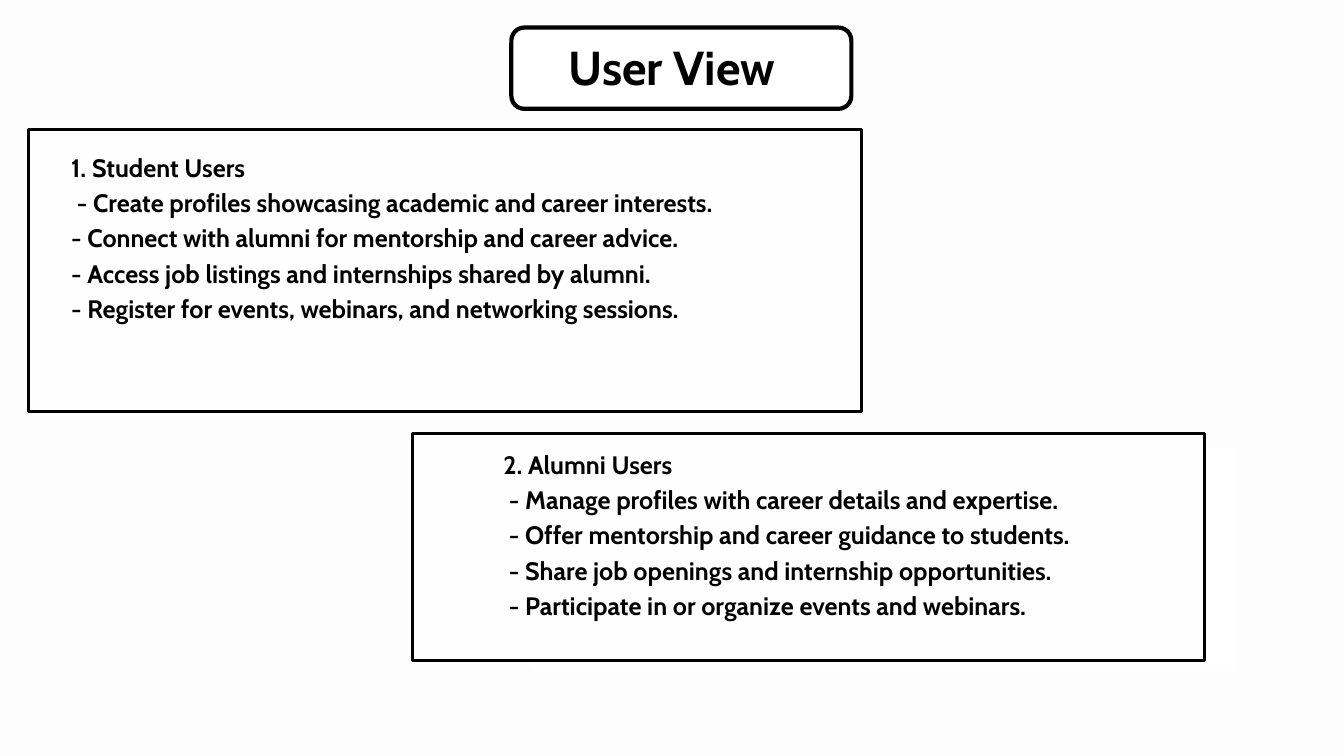
import pptx
import pptx.dml.color
import pptx.enum.shapes
import pptx.enum.text
import pptx.util

BLACK = pptx.dml.color.RGBColor(0x00, 0x00, 0x00)
WHITE = pptx.dml.color.RGBColor(0xFF, 0xFF, 0xFF)
PANEL_WHITE = pptx.dml.color.RGBColor(0xFE, 0xFE, 0xFF)
BACKGROUND = pptx.dml.color.RGBColor(0xFD, 0xFD, 0xFD)

FONT = "Cabin"
SLIDE_WIDTH = pptx.util.Inches(20)
SLIDE_HEIGHT = pptx.util.Inches(11.25)
COLUMN = SLIDE_WIDTH / 20
ROW = SLIDE_HEIGHT / 11.25
RECTANGLE = pptx.enum.shapes.MSO_SHAPE.RECTANGLE
ROUNDED = pptx.enum.shapes.MSO_SHAPE.ROUNDED_RECTANGLE
LEFT = pptx.enum.text.PP_ALIGN.LEFT
CENTER = pptx.enum.text.PP_ALIGN.CENTER

STUDENT_LINES = [
    "1. Student Users",
    " - Create profiles showcasing academic and career interests.",
    "- Connect with alumni for mentorship and career advice.",
    "- Access job listings and internships shared by alumni.",
    "- Register for events, webinars, and networking sessions.",
]
ALUMNI_LINES = [
    "2. Alumni Users",
    " - Manage profiles with career details and expertise.",
    " - Offer mentorship and career guidance to students.",
    " - Share job openings and internship opportunities.",
    " - Participate in or organize events and webinars.",
]


def to_emu(box):
    """Turn a box in columns and rows into slide lengths."""
    left, top, width, height = box
    return [round(n) for n in (left * COLUMN, top * ROW, width * COLUMN, height * ROW)]


def inside(box, inset):
    """Place a box by its offset from the corner of another box."""
    return (box[0] + inset[0], box[1] + inset[1], inset[2], inset[3])


def add_frame(slide, box, kind, fill, line_width=0, rounding=0):
    """Draw a filled frame with an optional black outline."""
    frame = slide.shapes.add_shape(kind, *to_emu(box))
    frame.shadow.inherit = False
    frame.fill.solid()
    frame.fill.fore_color.rgb = fill
    if rounding:
        frame.adjustments[0] = rounding
    if line_width:
        frame.line.color.rgb = BLACK
        frame.line.width = pptx.util.Pt(line_width)
    else:
        frame.line.fill.background()


def add_lines(slide, box, lines, size, alignment=LEFT):
    """Write bold lines with a spacing of 1.4 times their size."""
    text = slide.shapes.add_textbox(*to_emu(box)).text_frame
    text.word_wrap = True
    text.margin_left = text.margin_top = text.margin_right = text.margin_bottom = 0
    text.text = "\n".join(lines)
    for paragraph in text.paragraphs:
        paragraph.alignment = alignment
        paragraph.line_spacing = pptx.util.Pt(size * 1.4)
        paragraph.font.name = FONT
        paragraph.font.size = pptx.util.Pt(size)
        paragraph.font.bold = True
        paragraph.font.color.rgb = BLACK


def add_title(slide, box):
    """Draw the rounded heading at the top."""
    add_frame(slide, box, ROUNDED, WHITE, line_width=4.5, rounding=0.16)
    add_lines(slide, inside(box, (-1.16, 0.02, 7.1, 0.96)), ["User View"], 51, CENTER)


def add_user_panel(slide, box, backing, text_area, lines):
    """Draw one user group with its backing, outline and list."""
    add_frame(slide, inside(box, backing), ROUNDED, WHITE, rounding=0.03)
    add_frame(slide, box, RECTANGLE, PANEL_WHITE, line_width=3)
    add_lines(slide, inside(box, text_area), lines, 27)


def main():
    """Build and save the user view slide."""
    deck = pptx.Presentation()
    deck.slide_width = SLIDE_WIDTH
    deck.slide_height = SLIDE_HEIGHT
    slide = deck.slides.add_slide(deck.slide_layouts[6])
    slide.background.fill.solid()
    slide.background.fill.fore_color.rgb = BACKGROUND

    add_user_panel(slide, (0.43, 1.93, 12.39, 4.19), (0.38, 0.34, 10.66, 3.55),
                   (0.63, 0.26, 10.4, 3.63), STUDENT_LINES)
    add_user_panel(slide, (6.14, 6.45, 11.79, 3.38), (1.73, 0.22, 10.53, 3.32),
                   (1.35, 0.16, 10.66, 3.1), ALUMNI_LINES)
    add_title(slide, (7.61, 0.41, 5.06, 1.21))
    deck.save("out.pptx")


if __name__ == "__main__":
    main()
